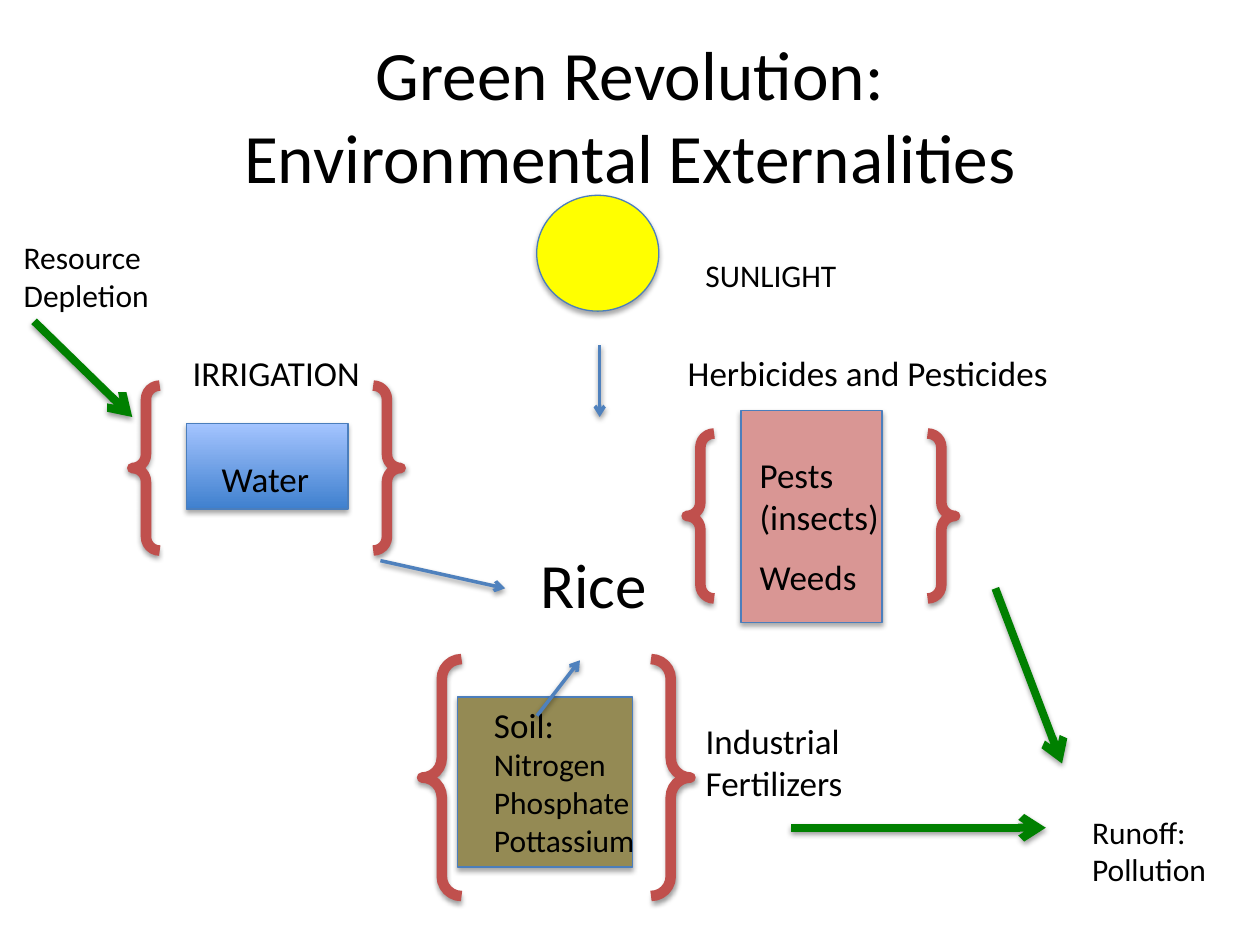
import pptx
import pptx.dml.color
import pptx.enum.dml
import pptx.enum.shapes
import pptx.enum.text
import pptx.oxml
import pptx.oxml.ns
import pptx.util

Pt = pptx.util.Pt
RGBColor = pptx.dml.color.RGBColor
SHAPE = pptx.enum.shapes.MSO_SHAPE

BLACK = RGBColor(0x00, 0x00, 0x00)
OUTLINE = RGBColor(0x4B, 0x7E, 0xBC)
BLUE = RGBColor(0x4F, 0x81, 0xBD)
GREEN = RGBColor(0x00, 0x80, 0x00)
RED = RGBColor(0xC0, 0x50, 0x4D)
YELLOW = RGBColor(0xFF, 0xFF, 0x00)
PINK = RGBColor(0xD9, 0x96, 0x94)
OLIVE = RGBColor(0x94, 0x8A, 0x54)
WATER_DARK = RGBColor(0x3F, 0x80, 0xCE)
WATER_LIGHT = RGBColor(0xA4, 0xC4, 0xFF)

TEXT_SIZE = 20
SMALL_SIZE = 18


def add_shadow(item, distance, opacity):
    """Give a shape or connector a soft shadow falling straight down."""
    item._element.spPr.append(pptx.oxml.parse_xml(
        f'<a:effectLst {pptx.oxml.ns.nsdecls("a")}>'
        f'<a:outerShdw blurRad="{Pt(3.1)}" dist="{Pt(distance)}" dir="5400000" rotWithShape="0">'
        f'<a:srgbClr val="000000"><a:alpha val="{opacity * 1000}"/></a:srgbClr>'
        '</a:outerShdw></a:effectLst>'))


def add_text(page, box, lines, sizes, align=None, anchor=None):
    """Write one paragraph per line, each with its own size."""
    frame = page.shapes.add_textbox(*map(Pt, box)).text_frame
    frame.word_wrap = True
    frame.vertical_anchor = anchor
    frame.text = "\n".join(lines)
    for para, size in zip(frame.paragraphs, sizes):
        para.alignment = align
        para.font.name = "Calibri"
        para.font.size = Pt(size)
        para.font.color.rgb = BLACK


def add_block(page, kind, box, color=None):
    block = page.shapes.add_shape(kind, *map(Pt, box))
    if color is not None:
        block.fill.solid()
        block.fill.fore_color.rgb = color
    block.line.color.rgb = OUTLINE
    block.line.width = Pt(0.75)
    add_shadow(block, 1.8, 35)
    return block


def add_braces(page, box):
    braces = page.shapes.add_shape(SHAPE.DOUBLE_BRACE, *map(Pt, box))
    braces.fill.background()
    braces.line.color.rgb = RED
    braces.line.width = Pt(6)
    add_shadow(braces, 1.6, 38)


def add_arrow(page, start, end, color=BLUE, width=2):
    arrow = page.shapes.add_connector(
        pptx.enum.shapes.MSO_CONNECTOR.STRAIGHT, *map(Pt, start + end))
    arrow.line.color.rgb = color
    arrow.line.width = Pt(width)
    arrow.line._get_or_add_ln().append(pptx.oxml.parse_xml(
        f'<a:tailEnd {pptx.oxml.ns.nsdecls("a")} type="arrow"/>'))
    add_shadow(arrow, 1.6, 38)


def draw_title(page, box):
    add_text(page, box, ["Green Revolution:\vEnvironmental Externalities"], [39.6],
             pptx.enum.text.PP_ALIGN.CENTER, pptx.enum.text.MSO_ANCHOR.MIDDLE)


def draw_sunlight(page, box):
    left, top, width, height = box
    add_block(page, SHAPE.OVAL, box, YELLOW)
    add_text(page, (left + 89.3, top + 31, 108, 29), ["SUNLIGHT"], [SMALL_SIZE])
    add_arrow(page, (left + 36, top + 85.7), (left + 36, top + 126.7))


def draw_irrigation(page, box):
    left, top, width, height = box
    water = add_block(page, SHAPE.RECTANGLE, (left + 31, top + 21.6, 92.2, 49))
    water.fill.gradient()
    water.fill.gradient_angle = 90
    for stop, color in zip(water.fill.gradient_stops, (WATER_DARK, WATER_LIGHT)):
        stop.color.rgb = color
    add_text(page, (left + 44, top + 37.5, 79.2, 22.3), ["Water"], [TEXT_SIZE])
    add_braces(page, box)
    add_text(page, (left + 27.4, top - 23, 121, 22.3), ["IRRIGATION"], [TEXT_SIZE])
    add_arrow(page, (left + 141.8, top + 100.1), (left + 213.1, top + 115.9))


def draw_soil(page, box):
    left, top, width, height = box
    add_block(page, SHAPE.RECTANGLE, (left + 20.4, top + 21.6, 100, 97.2), OLIVE)
    add_text(page, (left + 34, top + 21.6, 135.4, 97.2),
             ["Soil:", "Nitrogen", "Phosphate", "Pottassium"],
             [TEXT_SIZE] + [SMALL_SIZE] * 3)
    add_arrow(page, (left + 65.7, top + 32.4), (left + 90.2, top + 0.7))
    add_braces(page, box)
    add_text(page, (left + 155, top + 31, 129.6, 55.4),
             ["Industrial", "Fertilizers"], [TEXT_SIZE] * 2)


def draw_pests(page, box):
    left, top, width, height = box
    add_block(page, SHAPE.RECTANGLE, (left + 31, top - 13, 80.6, 121), PINK)
    add_text(page, (left + 34.6, top + 7.9, 98.6, 39), ["Pests (insects)"], [TEXT_SIZE])
    add_text(page, (left + 34.6, top + 66.2, 98.6, 22.3), ["Weeds"], [TEXT_SIZE])
    add_braces(page, box)
    add_text(page, (left - 6.5, top - 50.4, 221, 31.7),
             ["Herbicides and Pesticides"], [TEXT_SIZE])


def draw_depletion(page, box):
    left, top, width, height = box
    add_text(page, box, ["Resource Depletion"], [SMALL_SIZE])
    add_arrow(page, (left + 13, top + height), (left + 69.1, top + 105.8), GREEN, 4.5)


def draw_runoff(page, box):
    left, top, width, height = box
    add_arrow(page, (left - 48.2, top - 124.6), (left - 10.1, top - 24.5), GREEN, 4.5)
    add_arrow(page, (left - 164.9, top + 12.2), (left - 19.4, top + 12.2), GREEN, 4.5)
    add_text(page, box, ["Runoff:", "Pollution"], [SMALL_SIZE] * 2)


def main():
    deck = pptx.Presentation()
    deck.slide_width, deck.slide_height = Pt(720), Pt(540)
    page = deck.slides.add_slide(deck.slide_layouts[6])

    draw_title(page, (36, 20.2, 648, 90))
    draw_sunlight(page, (306.7, 111.6, 69.8, 66.2))
    add_text(page, (301.7, 308.2, 84.2, 35.3), ["Rice"], [36])
    draw_irrigation(page, (75.6, 220.3, 153.4, 94.3))
    draw_soil(page, (241.2, 376.6, 153.4, 135.4))
    draw_pests(page, (392.4, 247.7, 153.4, 94.3))
    draw_depletion(page, (6.5, 132.5, 113, 51.1))
    draw_runoff(page, (617, 460.8, 90.7, 51.1))

    deck.save("out.pptx")


if __name__ == "__main__":
    main()
